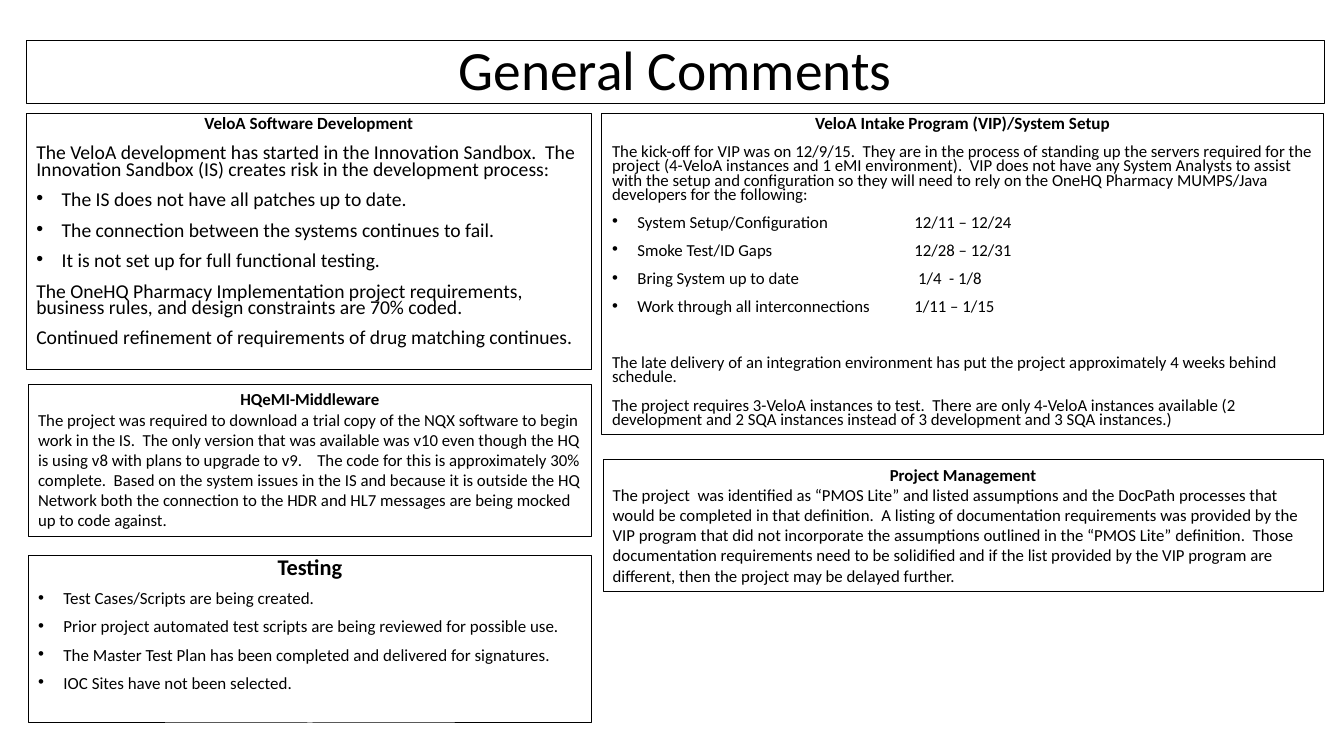
from dataclasses import dataclass

from lxml.etree import SubElement
from pptx import Presentation
from pptx.dml.color import RGBColor
from pptx.enum.text import MSO_ANCHOR, MSO_AUTO_SIZE as AutoSize, PP_ALIGN as Align
from pptx.oxml.ns import qn
from pptx.util import Cm, Pt

COLORS = {"text": "000000", "border": "000000"}
FONT = "Calibri"
BULLET_INDENT = Cm(0.64)
DATE_TAB = Cm(7.62)


@dataclass
class Item:
    text: str
    bullet: bool = False
    space_before: float = 10


@dataclass
class Panel:
    box: tuple[float, float, float, float]  # left, top, width, height in cm
    heading: str
    items: list[Item]
    heading_size: float = 12
    body_size: float = 12
    border: float = 0.75
    tight: bool = True  # close line spacing with gaps between paragraphs


def bullets(*texts: str) -> list[Item]:
    return [Item(text, bullet=True) for text in texts]


# Left and right placeholder panels
PLACEHOLDER_PANELS = [
    Panel(
        (0.66, 2.85, 14.25, 6.45), "VeloA Software Development",
        [
            Item("The VeloA development has started in the Innovation Sandbox.  The Innovation "
                 "Sandbox (IS) creates risk in the development process:"),
            *bullets("The IS does not have all patches up to date.",
                     "The connection between the systems continues to fail.",
                     "It is not set up for full functional testing."),
            Item("The OneHQ Pharmacy Implementation project requirements, business rules, and "
                 "design constraints are 70% coded."),
            Item("Continued refinement of requirements of drug matching continues."),
        ],
        heading_size=12.2, body_size=14),
    Panel(
        (15.17, 2.85, 18.19, 8.1), "VeloA Intake Program (VIP)/System Setup",
        [
            Item("The kick-off for VIP was on 12/9/15.  They are in the process of standing up the "
                 "servers required for the project (4-VeloA instances and 1 eMI environment).  VIP "
                 "does not have any System Analysts to assist with the setup and configuration so "
                 "they will need to rely on the OneHQ Pharmacy MUMPS/Java developers for the "
                 "following:"),
            *bullets("System Setup/Configuration\t12/11 – 12/24",
                     "Smoke Test/ID Gaps\t12/28 – 12/31",
                     "Bring System up to date\t 1/4  - 1/8",
                     "Work through all interconnections\t1/11 – 1/15"),
            Item("The late delivery of an integration environment has put the project "
                 "approximately 4 weeks behind schedule.", space_before=30),
            Item("The project requires 3-VeloA instances to test.  There are only 4-VeloA "
                 "instances available (2 development and 2 SQA instances instead of 3 development "
                 "and 3 SQA instances.)"),
        ],
        heading_size=12.2),
]

# Text box panels
TEXT_BOX_PANELS = [
    Panel(
        (0.71, 9.68, 14.2, 3.84), "HQeMI-Middleware",
        [Item("The project was required to download a trial copy of the NQX software to begin "
              "work in the IS.  The only version that was available was v10 even though the HQ is "
              "using v8 with plans to upgrade to v9.    The code for this is approximately 30% "
              "complete.  Based on the system issues in the IS and because it is outside the HQ "
              "Network both the connection to the HDR and HL7 messages are being mocked up to "
              "code against.")],
        border=0.25, tight=False),
    Panel(
        (0.71, 14, 14.2, 4.22), "Testing",
        bullets("Test Cases/Scripts are being created.",
                "Prior project automated test scripts are being reviewed for possible use.",
                "The Master Test Plan has been completed and delivered for signatures.",
                "IOC Sites have not been selected."),
        heading_size=16, body_size=12.1),
    Panel(
        (15.19, 11.58, 18.16, 3.33), "Project Management",
        [Item("The project  was identified as “PMOS Lite” and listed assumptions and the DocPath "
              "processes that would be completed in that definition.  A listing of documentation "
              "requirements was provided by the VIP program that did not incorporate the "
              "assumptions outlined in the “PMOS Lite” definition.  Those documentation "
              "requirements need to be solidified and if the list provided by the VIP program are "
              "different, then the project may be delayed further.")],
        border=0.25, tight=False),
]


def place(shape, box: tuple[float, float, float, float], border: float) -> None:
    shape.left, shape.top, shape.width, shape.height = map(Cm, box)
    shape.line.color.rgb = RGBColor.from_string(COLORS["border"])
    shape.line.width = Pt(border)


def set_font(paragraph, size: float, bold: bool = False) -> None:
    font = paragraph.font
    font.name, font.size, font.bold = FONT, Pt(size), bold
    font.color.rgb = RGBColor.from_string(COLORS["text"])


def set_bullet(paragraph, bullet: bool, tabbed: bool) -> None:
    properties = paragraph._p.get_or_add_pPr()
    indent = BULLET_INDENT if bullet else 0
    properties.set("marL", str(int(indent)))
    properties.set("indent", str(-int(indent)))
    if bullet:
        SubElement(properties, qn("a:buFont"), typeface="Arial")
        SubElement(properties, qn("a:buChar"), char="•")
    else:
        SubElement(properties, qn("a:buNone"))
    if tabbed:
        tabs = SubElement(properties, qn("a:tabLst"))
        SubElement(tabs, qn("a:tab"), pos=str(int(DATE_TAB)), algn="l")


def fill_panel(shape, panel: Panel) -> None:
    place(shape, panel.box, panel.border)
    frame = shape.text_frame
    frame.word_wrap = True
    frame.auto_size = AutoSize.NONE if panel.tight else AutoSize.SHAPE_TO_FIT_TEXT
    for index, item in enumerate([Item(panel.heading), *panel.items]):
        is_heading = index == 0
        paragraph = frame.paragraphs[0] if is_heading else frame.add_paragraph()
        paragraph.text = item.text
        paragraph.alignment = Align.CENTER if is_heading else Align.LEFT
        paragraph.line_spacing = 0.7 if panel.tight else 1.0
        paragraph.space_before = Pt(item.space_before if panel.tight else 0)
        set_bullet(paragraph, item.bullet, "\t" in item.text)
        set_font(paragraph, panel.heading_size if is_heading else panel.body_size, is_heading)


presentation = Presentation()
presentation.slide_width, presentation.slide_height = Cm(33.87), Cm(19.05)
slide = presentation.slides.add_slide(presentation.slide_layouts.get_by_name("Two Content"))

# Title
title, *bodies = slide.placeholders
place(title, (0.66, 1.02, 32.72, 1.6), 0.75)
title.text_frame.text = "General Comments"
title.text_frame.auto_size = AutoSize.NONE
title.text_frame.vertical_anchor = MSO_ANCHOR.MIDDLE
heading = title.text_frame.paragraphs[0]
heading.alignment, heading.line_spacing = Align.CENTER, 0.9
set_font(heading, 39.6)

# Panels
for body, panel in zip(bodies, PLACEHOLDER_PANELS):
    fill_panel(body, panel)
for panel in TEXT_BOX_PANELS:
    fill_panel(slide.shapes.add_textbox(*map(Cm, panel.box)), panel)

presentation.save("out.pptx")
